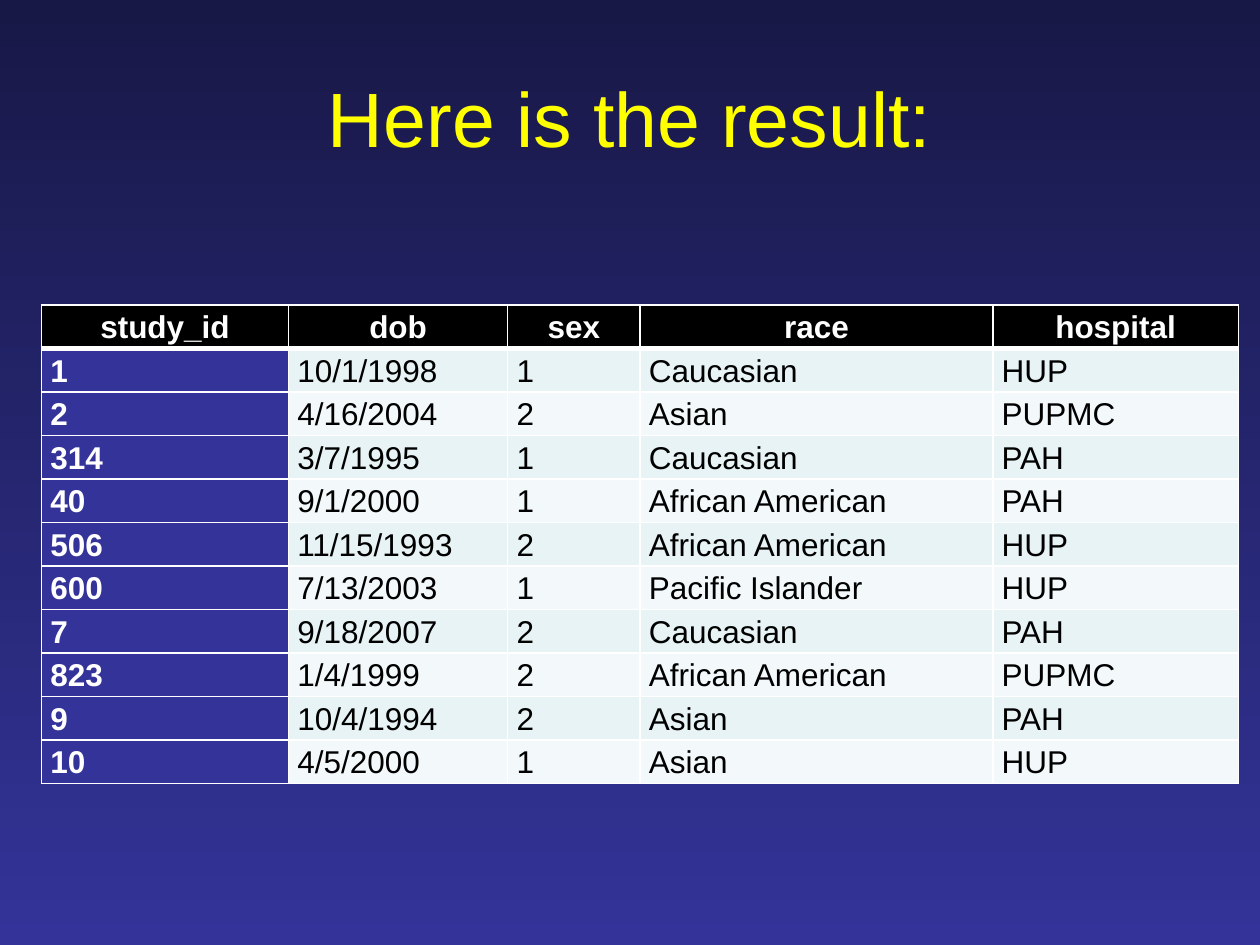
import pptx
import pptx.util
import pptx.dml.color
import pptx.enum.text
import pptx.oxml
import pptx.oxml.ns
from pptx.util import Inches

COLORS = {
    "sky_top": "181847",
    "sky_bottom": "333399",
    "title": "FFFF00",
    "white": "FFFFFF",
    "black": "000000",
    "id_column": "333399",
    "odd_row": "E7F3F4",
    "even_row": "F3F9FA",
}
FONT = "Arial"
ALIGN = pptx.enum.text.PP_ALIGN
COLUMN_WIDTHS = [1.96, 1.74, 1.05, 2.8, 1.95]
TABLE_HEIGHT = 3.58
ROWS = [
    ("study_id", "dob", "sex", "race", "hospital"),
    ("1", "10/1/1998", "1", "Caucasian", "HUP"),
    ("2", "4/16/2004", "2", "Asian", "PUPMC"),
    ("314", "3/7/1995", "1", "Caucasian", "PAH"),
    ("40", "9/1/2000", "1", "African American", "PAH"),
    ("506", "11/15/1993", "2", "African American", "HUP"),
    ("600", "7/13/2003", "1", "Pacific Islander", "HUP"),
    ("7", "9/18/2007", "2", "Caucasian", "PAH"),
    ("823", "1/4/1999", "2", "African American", "PUPMC"),
    ("9", "10/4/1994", "2", "Asian", "PAH"),
    ("10", "4/5/2000", "1", "Asian", "HUP"),
]


def rgb(name):
    return pptx.dml.color.RGBColor.from_string(COLORS[name])


def write_text(frame, text, *, size, color, bold=False, align=ALIGN.LEFT, spacing=1.0):
    para = frame.paragraphs[0]
    para.alignment = align
    para.line_spacing = spacing
    span = para.add_run()
    span.text = text
    span.font.name = FONT
    span.font.size = pptx.util.Pt(size)
    span.font.bold = bold
    span.font.color.rgb = rgb(color)


def paint_background(slide):
    fill = slide.background.fill
    fill.gradient()
    fill.gradient_angle = 270
    for stop, name in zip(fill.gradient_stops, ("sky_top", "sky_bottom")):
        stop.color.rgb = rgb(name)


def add_title(slide, text):
    box = slide.shapes.add_textbox(Inches(0.5), Inches(0.3), Inches(9), Inches(1.25))
    frame = box.text_frame
    frame.word_wrap = True
    frame.vertical_anchor = pptx.enum.text.MSO_ANCHOR.MIDDLE
    write_text(frame, text, size=44, color="title", align=ALIGN.CENTER)


def set_borders(cell, widths):
    """Draw white cell borders; widths maps L, R, T and B to points."""
    properties = cell._tc.get_or_add_tcPr()
    for side, width in widths.items():
        properties.append(pptx.oxml.parse_xml(
            f'<a:ln{side} {pptx.oxml.ns.nsdecls("a")} w="{pptx.util.Pt(width)}">'
            f'<a:solidFill><a:srgbClr val="{COLORS["white"]}"/></a:solidFill>'
            f'</a:ln{side}>'))


def format_cell(cell, text, row, column):
    header = row == 0
    strong = header or column == 0
    if header:
        fill = "black"
    elif column == 0:
        fill = "id_column"
    else:
        fill = "odd_row" if row % 2 else "even_row"
    cell.margin_left = cell.margin_right = Inches(0.07)
    cell.margin_top = cell.margin_bottom = 0
    set_borders(cell, {"L": 1, "R": 1, "T": 3 if row == 1 else 1, "B": 3 if header else 1})
    cell.fill.solid()
    cell.fill.fore_color.rgb = rgb(fill)
    write_text(cell.text_frame, text, size=18, bold=strong, spacing=1.15,
               color="white" if strong else "black",
               align=ALIGN.CENTER if header else ALIGN.LEFT)


def add_result_table(slide):
    table = slide.shapes.add_table(
        len(ROWS), len(COLUMN_WIDTHS), Inches(0.33), Inches(2.42),
        Inches(sum(COLUMN_WIDTHS)), Inches(TABLE_HEIGHT)).table
    for column, width in zip(table.columns, COLUMN_WIDTHS):
        column.width = Inches(width)
    for row, values in enumerate(ROWS):
        for column, text in enumerate(values):
            format_cell(table.cell(row, column), text, row, column)


def main():
    deck = pptx.Presentation()
    deck.slide_width, deck.slide_height = Inches(10), Inches(7.5)
    slide = deck.slides.add_slide(deck.slide_layouts[6])
    paint_background(slide)
    add_title(slide, "Here is the result:")
    add_result_table(slide)
    deck.save("out.pptx")


if __name__ == "__main__":
    main()
